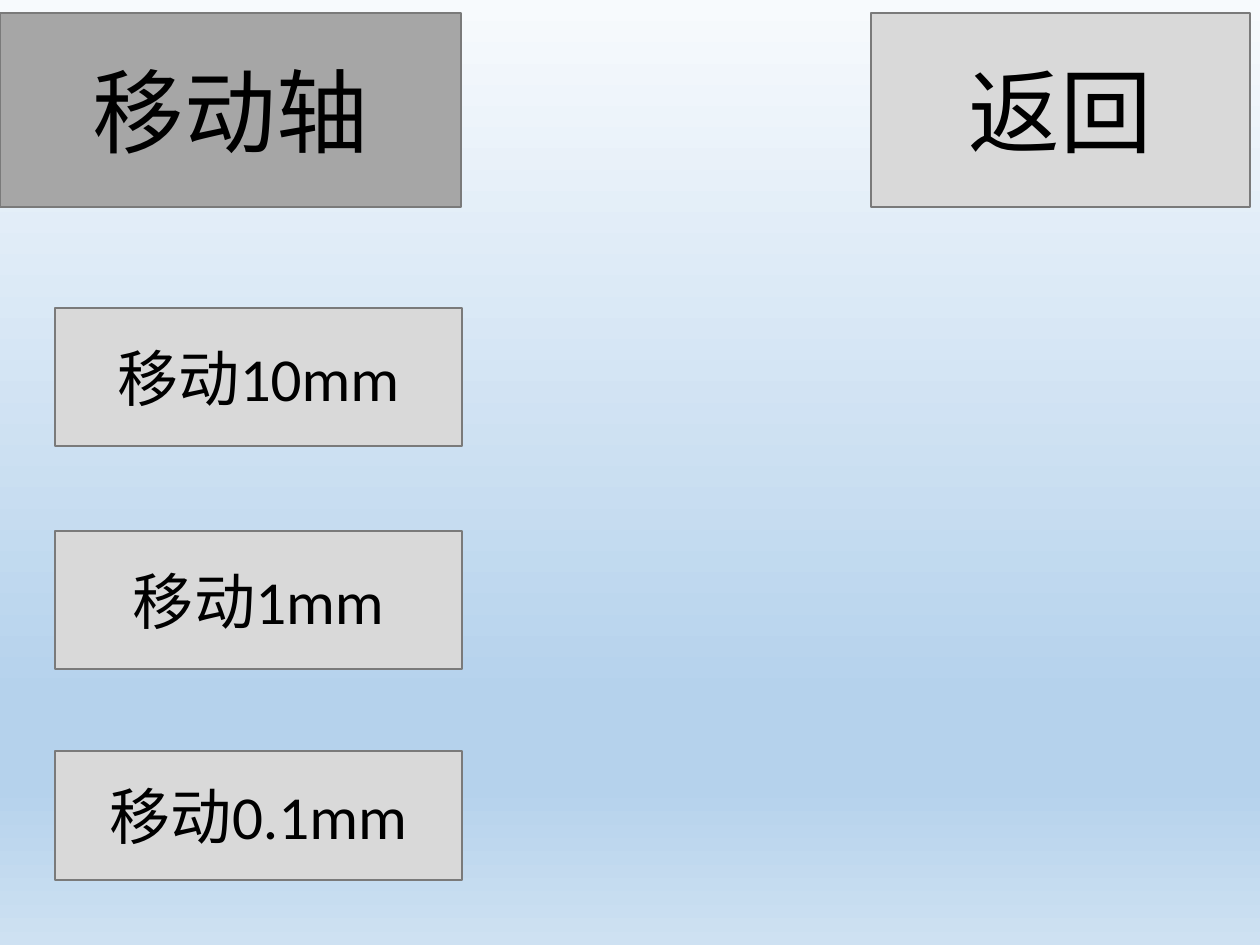
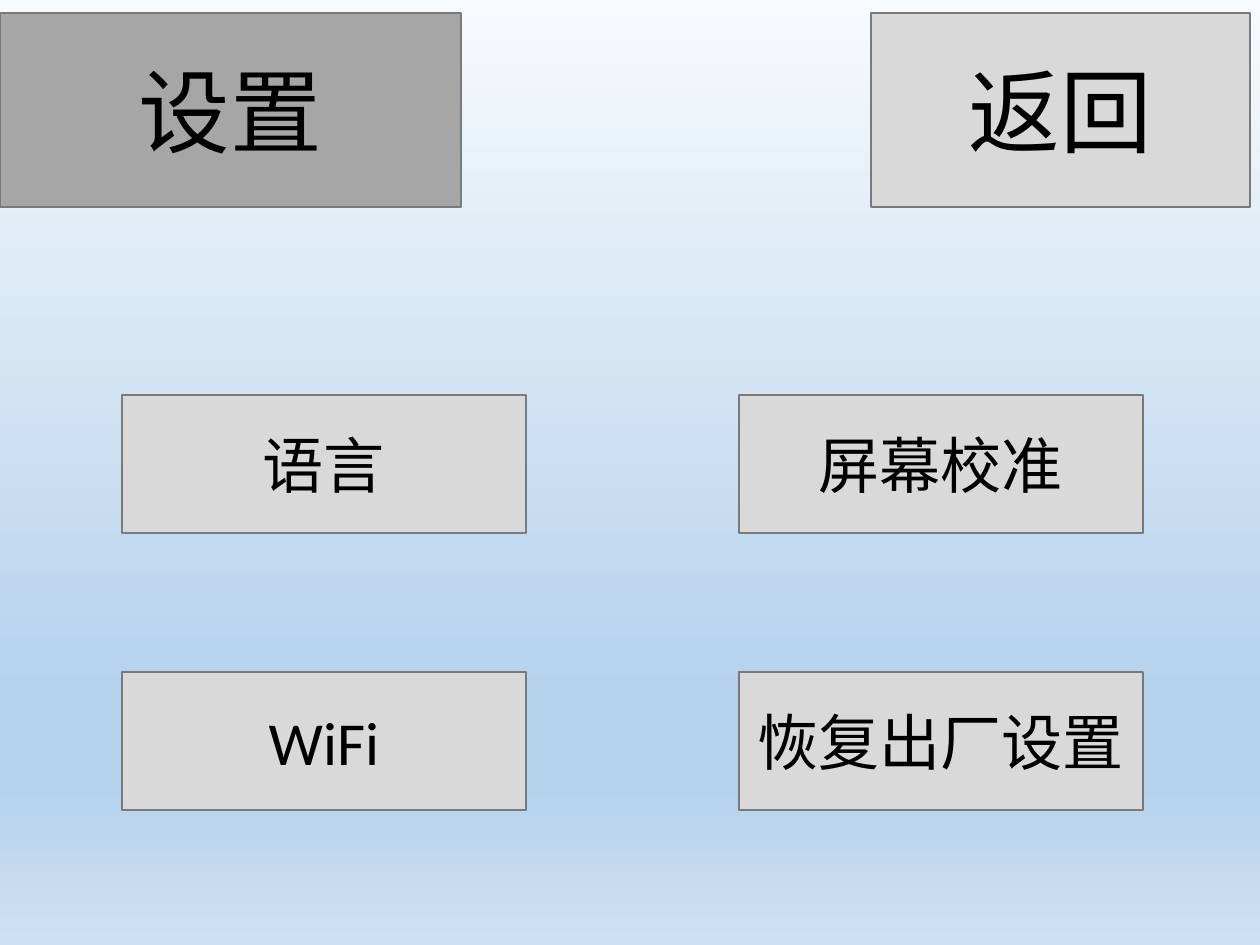
"""Builds two touch-screen menu slides: moving an axis and settings."""
import pptx
import pptx.dml.color
import pptx.enum.shapes
import pptx.enum.text
import pptx.oxml
import pptx.oxml.ns
import pptx.util

Pt = pptx.util.Pt
BLACK, EDGE, TITLE_FILL, BUTTON_FILL = "000000", "7A7A7A", "A6A6A6", "D9D9D9"
GRADIENT = [(0, "F7FAFD"), (74, "B5D2EC"), (83, "B5D2EC"), (100, "CEE1F2")]
FRAME = {
    "margin_left": Pt(6.5),
    "margin_right": Pt(6.5),
    "margin_top": Pt(3.6),
    "margin_bottom": Pt(3.6),
    "word_wrap": True,
    "auto_size": pptx.enum.text.MSO_AUTO_SIZE.NONE,
    "vertical_anchor": pptx.enum.text.MSO_ANCHOR.MIDDLE,
}
TITLE_BOX = (0, 9.36, 331.92, 139.68)
BACK_BOX = (627.12, 9.36, 272.88, 139.68)
HEAD_SIZE, BUTTON_SIZE = 66, 44


def rgb(value):
    return pptx.dml.color.RGBColor.from_string(value)


def set_attrs(obj, values):
    for name, value in values.items():
        setattr(obj, name, value)


def set_background(master):
    fill = master.background.fill
    fill.gradient()
    fill.gradient_angle = 270
    stops = master.element.xpath("./p:cSld/p:bg//a:gsLst")[0]
    for stop in list(stops):
        stops.remove(stop)
    ns = pptx.oxml.ns.nsdecls("a")
    for percent, color in GRADIENT:
        stops.append(pptx.oxml.parse_xml(
            f'<a:gs {ns} pos="{percent * 1000}"><a:srgbClr val="{color}"/></a:gs>'))


def format_box(sp, text, box, size, fill):
    set_attrs(sp, dict(zip(("left", "top", "width", "height"), map(Pt, box))))
    sp.fill.solid()
    sp.fill.fore_color.rgb = rgb(fill)
    sp.line.color.rgb = rgb(EDGE)
    sp.line.width = Pt(1)
    tf = sp.text_frame
    set_attrs(tf, FRAME)
    p = tf.paragraphs[0]
    p.alignment = pptx.enum.text.PP_ALIGN.CENTER
    r = p.add_run()
    r.text = text
    set_attrs(r.font, {"name": "Calibri", "size": Pt(size)})
    r.font.color.rgb = rgb(BLACK)


def add_button(s, text, box, size=BUTTON_SIZE):
    sp = s.shapes.add_shape(pptx.enum.shapes.MSO_SHAPE.RECTANGLE, *map(Pt, box))
    sp.shadow.inherit = False
    format_box(sp, text, box, size, BUTTON_FILL)


def add_menu_slide(prs, title, buttons):
    s = prs.slides.add_slide(prs.slide_layouts.get_by_name("Title Only"))
    format_box(s.shapes.title, title, TITLE_BOX, HEAD_SIZE, TITLE_FILL)
    add_button(s, "返回", BACK_BOX, HEAD_SIZE)
    for text, box in buttons:
        add_button(s, text, box)


def main():
    prs = pptx.Presentation()
    set_attrs(prs, {"slide_width": Pt(907.2), "slide_height": Pt(680.4)})
    set_background(prs.slide_master)

    steps = [("10mm", 221.76, 99.36), ("1mm", 382.32, 99.36), ("0.1mm", 540.72, 92.88)]
    add_menu_slide(prs, "移动轴", [
        (f"移动{step}", (39.6, top, 293.04, height)) for step, top, height in steps])

    settings = ["语言", "屏幕校准", "WiFi", "恢复出厂设置"]
    add_menu_slide(prs, "设置", [
        (text, (87.84 + i % 2 * 444.24, 284.4 + i // 2 * 199.44, 290.88, 99.36))
        for i, text in enumerate(settings)])

    prs.save("out.pptx")


main()
